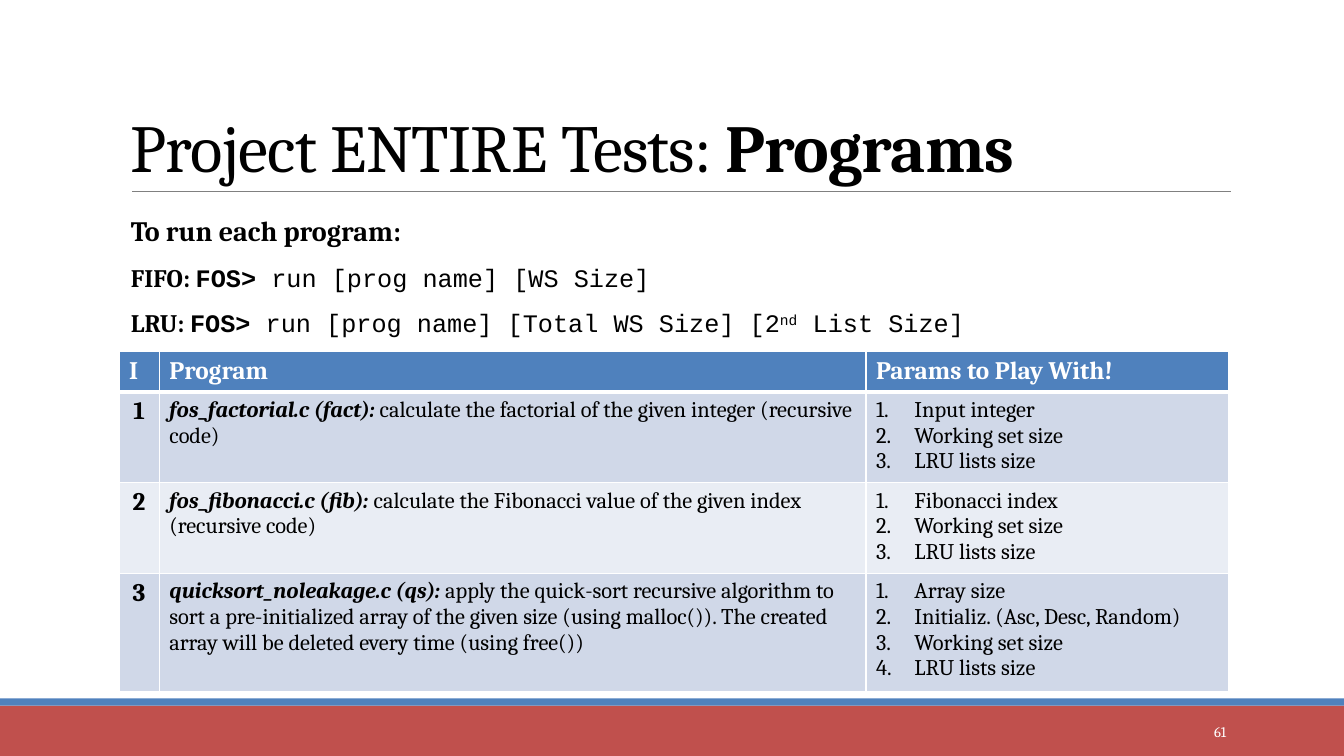
import dataclasses

import lxml.etree
import pptx
import pptx.dml.color
import pptx.enum.shapes
import pptx.enum.text
import pptx.oxml
import pptx.oxml.ns
import pptx.util

Inches = pptx.util.Inches
Pt = pptx.util.Pt
Align = pptx.enum.text.PP_ALIGN
Anchor = pptx.enum.text.MSO_ANCHOR
Fit = pptx.enum.text.MSO_AUTO_SIZE
qn = pptx.oxml.ns.qn


@dataclasses.dataclass(frozen=True)
class Theme:
    """Colours, fonts and type sizes of the slide."""
    red: str = "C0504D"
    blue: str = "4F81BD"
    grey: str = "808080"
    black: str = "000000"
    white: str = "FFFFFF"
    bands: tuple = ("D0D8E8", "E9EDF4")
    serif: str = "Cambria"
    mono: str = "Courier New"
    title: float = 48
    lead: float = 20
    head: float = 18
    body: float = 16
    page: float = 10.5


THEME = Theme()
SIZES = ["LRU lists size"]
COMMON = ["Working set size"] + SIZES
PROGRAMS = [
    ("fos_factorial.c (fact): ",
     "calculate the factorial of the given integer (recursive code)",
     ["Input integer"] + COMMON),
    ("fos_fibonacci.c (fib): ",
     "calculate the Fibonacci value of the given index (recursive code)",
     ["Fibonacci index"] + COMMON),
    ("quicksort_noleakage.c (qs): ",
     "apply the quick-sort recursive algorithm to sort a pre-initialized array "
     "of the given size (using malloc()). The created array will be deleted "
     "every time (using free())",
     ["Array size", "Initializ. (Asc, Desc, Random)"] + COMMON),
]


def rgb(code):
    """Turn a hex code into a colour."""
    return pptx.dml.color.RGBColor.from_string(code)


def add_run(para, text, size, color=THEME.black, face=THEME.serif, extra=None, **marks):
    """Add one styled run to a paragraph."""
    run = para.add_run()
    run.text = text
    looks = {"name": face, "size": Pt(size), **marks}
    for name, value in looks.items():
        setattr(run.font, name, value)
    run.font.color.rgb = rgb(color)
    for name, value in (extra or {}).items():
        run._r.get_or_add_rPr().set(name, value)


def add_box(slide, place, **looks):
    """Add a text box and return its frame."""
    frame = slide.shapes.add_textbox(*map(Inches, place)).text_frame
    for name, value in looks.items():
        setattr(frame, name, value)
    return frame


def add_bar(slide, top, height, color):
    """Add a plain band across the slide."""
    bar = slide.shapes.add_shape(
        pptx.enum.shapes.MSO_SHAPE.RECTANGLE,
        0, Inches(top), Inches(13.33), Inches(height))
    bar.shadow.inherit = False
    bar.fill.solid()
    bar.fill.fore_color.rgb = rgb(color)
    bar.line.fill.background()


def add_rule(slide, left, right, top):
    """Add the thin line below the title."""
    rule = slide.shapes.add_connector(
        pptx.enum.shapes.MSO_CONNECTOR.STRAIGHT,
        *map(Inches, (left, top, right, top)))
    rule.line.color.rgb = rgb(THEME.grey)
    rule.line.width = Pt(0.5)
    lxml.etree.SubElement(rule._element.spPr, qn("a:effectLst"))


def add_title(slide):
    """Add the slide title."""
    frame = add_box(slide, (1.2, 0.31, 11, 1.59), word_wrap=True,
                    vertical_anchor=Anchor.BOTTOM)
    para = frame.paragraphs[0]
    para.line_spacing = 0.85
    for text, bold in (("Project ENTIRE Tests: ", False), ("Programs", True)):
        add_run(para, text, THEME.title, bold=bold, extra={"spc": "-50"})


def add_usage(slide):
    """Add the lines that show how to run a program."""
    frame = add_box(slide, (1.2, 1.9, 8.69, 1.48), word_wrap=False,
                    auto_size=Fit.SHAPE_TO_FIT_TEXT)
    lead = frame.paragraphs[0]
    lead.line_spacing = 1.5
    add_run(lead, "To run each program:", THEME.lead, bold=True)
    raised = {"baseline": "30000"}
    usage = [
        ("FIFO: ", [(" run [prog name] [WS Size]", None)]),
        ("LRU: ", [(" run [prog name] [Total WS Size] [2", None),
                   ("nd", raised), (" List Size]", None)]),
    ]
    for label, parts in usage:
        para = frame.add_paragraph()
        para.line_spacing = 1.5
        add_run(para, label, THEME.head, bold=True)
        add_run(para, "FOS>", THEME.head, face=THEME.mono, bold=True)
        for text, extra in parts:
            add_run(para, text, THEME.head, face=THEME.mono, bold=False, extra=extra)


def paint(cell, color, base=1):
    """Give a cell white borders and a fill."""
    props = cell._tc.get_or_add_tcPr()
    for side, width in (("L", 1), ("R", 1), ("T", 1), ("B", base)):
        props.append(pptx.oxml.parse_xml(
            f'<a:ln{side} xmlns:a="http://schemas.openxmlformats.org/drawingml/2006/main" '
            f'w="{Pt(width)}"><a:solidFill><a:srgbClr val="{THEME.white}"/>'
            f'</a:solidFill></a:ln{side}>'))
    cell.fill.solid()
    cell.fill.fore_color.rgb = rgb(color)


def add_list(frame, items):
    """Fill a frame with a numbered list."""
    for index, item in enumerate(items):
        para = frame.add_paragraph() if index else frame.paragraphs[0]
        props = para._p.get_or_add_pPr()
        indent = Inches(0.38)
        props.set("marL", str(indent))
        props.set("indent", str(-indent))
        mark = lxml.etree.SubElement(props, qn("a:buAutoNum"))
        mark.set("type", "arabicPeriod")
        add_run(para, item, THEME.body, bold=False)


def add_grid(slide):
    """Add the table of programs."""
    widths = (0.4, 7.01, 3.6)
    heights = (0.39, 0.86, 0.86, 1.12)
    table = slide.shapes.add_table(
        len(heights), len(widths), Inches(1.18), Inches(3.49),
        Inches(sum(widths)), Inches(sum(heights))).table
    for column, width in zip(table.columns, widths):
        column.width = Inches(width)
    for row, height in zip(table.rows, heights):
        row.height = Inches(height)
    for cell, text in zip(table.rows[0].cells, ("I", "Program", "Params to Play With!")):
        paint(cell, THEME.blue, 3)
        add_run(cell.text_frame.paragraphs[0], text, THEME.head, THEME.white, bold=True)
    for index, (name, about, params) in enumerate(PROGRAMS, 1):
        cells = list(table.rows[index].cells)
        for cell in cells:
            paint(cell, THEME.bands[(index - 1) % 2])
        count, program = (cell.text_frame.paragraphs[0] for cell in cells[:2])
        count.alignment = Align.CENTER
        add_run(count, str(index), THEME.head, bold=True)
        add_run(program, name, THEME.body, bold=True, italic=True)
        add_run(program, about, THEME.body, bold=False, italic=False)
        add_list(cells[2].text_frame, params)


def add_page(slide, number):
    """Add the page number."""
    frame = add_box(slide, (10.83, 7.06, 1.43, 0.4), word_wrap=True,
                    vertical_anchor=Anchor.MIDDLE)
    para = frame.paragraphs[0]
    para.alignment = Align.RIGHT
    add_run(para, str(number), THEME.page, THEME.white)


def main():
    """Build and save the slide."""
    deck = pptx.Presentation()
    deck.slide_width = Inches(13.33)
    deck.slide_height = Inches(7.5)
    slide = deck.slides.add_slide(deck.slide_layouts[6])
    add_bar(slide, 7, 0.5, THEME.red)
    add_bar(slide, 6.93, 0.07, THEME.blue)
    add_rule(slide, 1.31, 12.21, 1.9)
    add_title(slide)
    add_grid(slide)
    add_page(slide, 61)
    add_usage(slide)
    deck.save("out.pptx")


if __name__ == "__main__":
    main()
